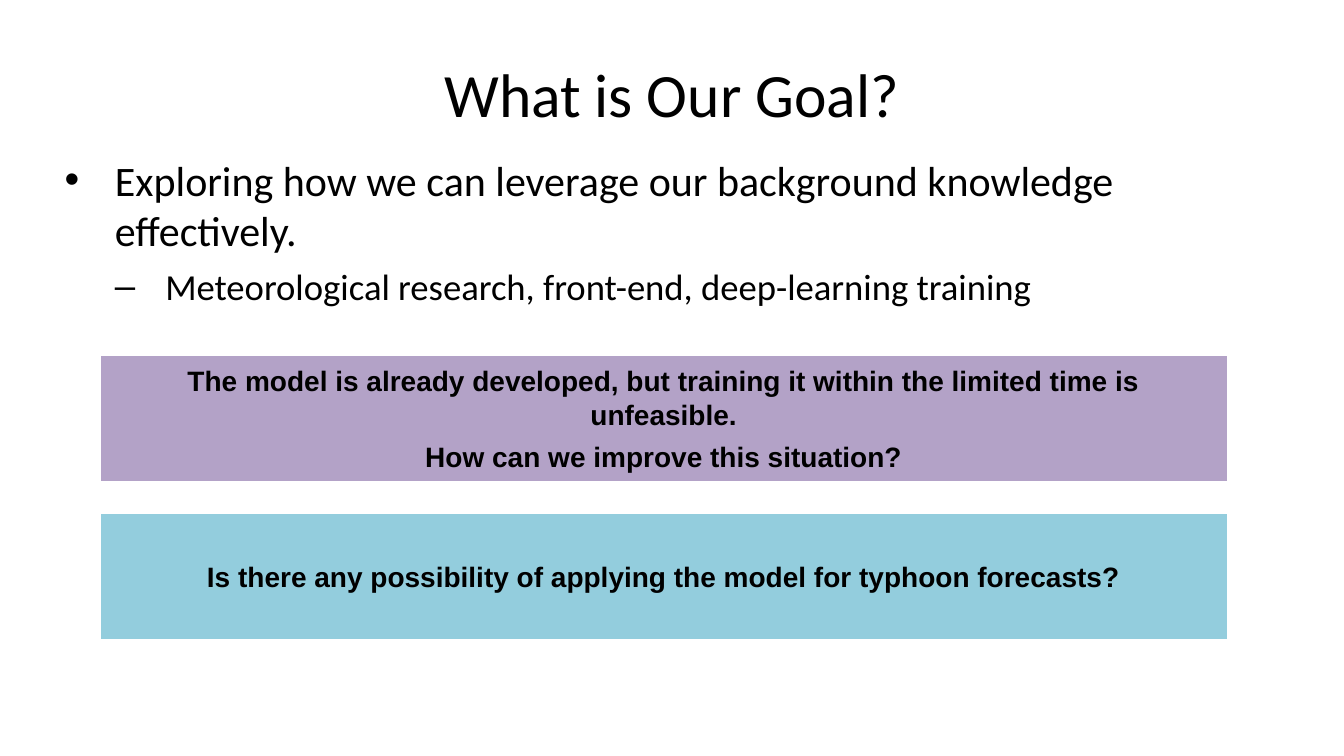
from lxml import etree
from pptx import Presentation
from pptx.dml.color import RGBColor
from pptx.enum.shapes import MSO_SHAPE
from pptx.enum.text import MSO_ANCHOR, MSO_AUTO_SIZE, PP_ALIGN
from pptx.oxml.ns import qn
from pptx.util import Pt

PROCESS = MSO_SHAPE.FLOWCHART_PROCESS
MIDDLE, TOP = MSO_ANCHOR.MIDDLE, MSO_ANCHOR.TOP
CENTER, LEFT = PP_ALIGN.CENTER, PP_ALIGN.LEFT
NO_FIT = MSO_AUTO_SIZE.NONE


def rgb(value):
    return RGBColor.from_string(value)


class Slide:
    ink = "000000"
    heading_font = "Calibri"
    box_font = "Arial"
    gap = 6.4
    indent = 36

    def __init__(self, prs):
        self.s = prs.slides.add_slide(prs.slide_layouts[1])

    def place(self, sp, left, top, width, height):
        sp.left, sp.top = Pt(left), Pt(top)
        sp.width, sp.height = Pt(width), Pt(height)

    def frame(self, sp, anchor):
        tf = sp.text_frame
        tf.word_wrap = True
        tf.auto_size = NO_FIT
        tf.vertical_anchor = anchor
        return tf

    def paragraph(self, tf, i, text, font, size, align, bold=False):
        p = tf.add_paragraph() if i else tf.paragraphs[0]
        p.alignment = align
        p.space_before = Pt(self.gap if i else 0)
        r = p.add_run()
        r.text = text
        r.font.name, r.font.size, r.font.bold = font, Pt(size), bold
        r.font.color.rgb = rgb(self.ink)
        return p

    def bullet(self, p, level, char):
        p.level = level
        pPr = p._p.get_or_add_pPr()
        pPr.set("marL", str(Pt(self.indent * (level + 1))))
        pPr.set("indent", str(-Pt(self.indent)))
        etree.SubElement(pPr, qn("a:buFont")).set("typeface", self.box_font)
        etree.SubElement(pPr, qn("a:buChar")).set("char", char)

    def title(self, text, *box):
        sp = self.s.shapes.title
        self.place(sp, *box)
        self.paragraph(self.frame(sp, MIDDLE), 0, text, self.heading_font, 44, CENTER)

    def body(self, items, *box):
        sp = self.s.placeholders[1]
        self.place(sp, *box)
        tf = self.frame(sp, TOP)
        for i, (level, char, size, text) in enumerate(items):
            p = self.paragraph(tf, i, text, self.heading_font, size, LEFT)
            self.bullet(p, level, char)

    def question(self, lines, fill, left, top, width, height):
        sp = self.s.shapes.add_shape(PROCESS, Pt(left), Pt(top), Pt(width), Pt(height))
        sp.shadow.inherit = False
        sp.fill.solid()
        sp.fill.fore_color.rgb = rgb(fill)
        sp.line.fill.background()
        tf = self.frame(sp, MIDDLE)
        for i, text in enumerate(lines):
            self.paragraph(tf, i, text, self.box_font, 20, CENTER, True)


def main():
    prs = Presentation()
    prs.slide_width, prs.slide_height = Pt(960), Pt(540)
    slide = Slide(prs)
    slide.title("What is Our Goal?", 156, 21.6, 648, 90)
    slide.body([
        (0, "•", 30, "Exploring how we can leverage our background knowledge effectively."),
        (1, "–", 26.2, "Meteorological research, front-end, deep-learning training"),
    ], 38.9, 106.5, 887, 94.3)
    questions = [
        ("B3A2C7", [
            "The model is already developed, but training it within the limited time is unfeasible.",
            "How can we improve this situation?",
        ]),
        ("93CDDD", ["Is there any possibility of applying the model for typhoon forecasts?"]),
    ]
    for i, (fill, lines) in enumerate(questions):
        slide.question(lines, fill, 72, 254.2 + 113 * i, 804.2, 89.3)
    prs.save("out.pptx")


if __name__ == "__main__":
    main()
